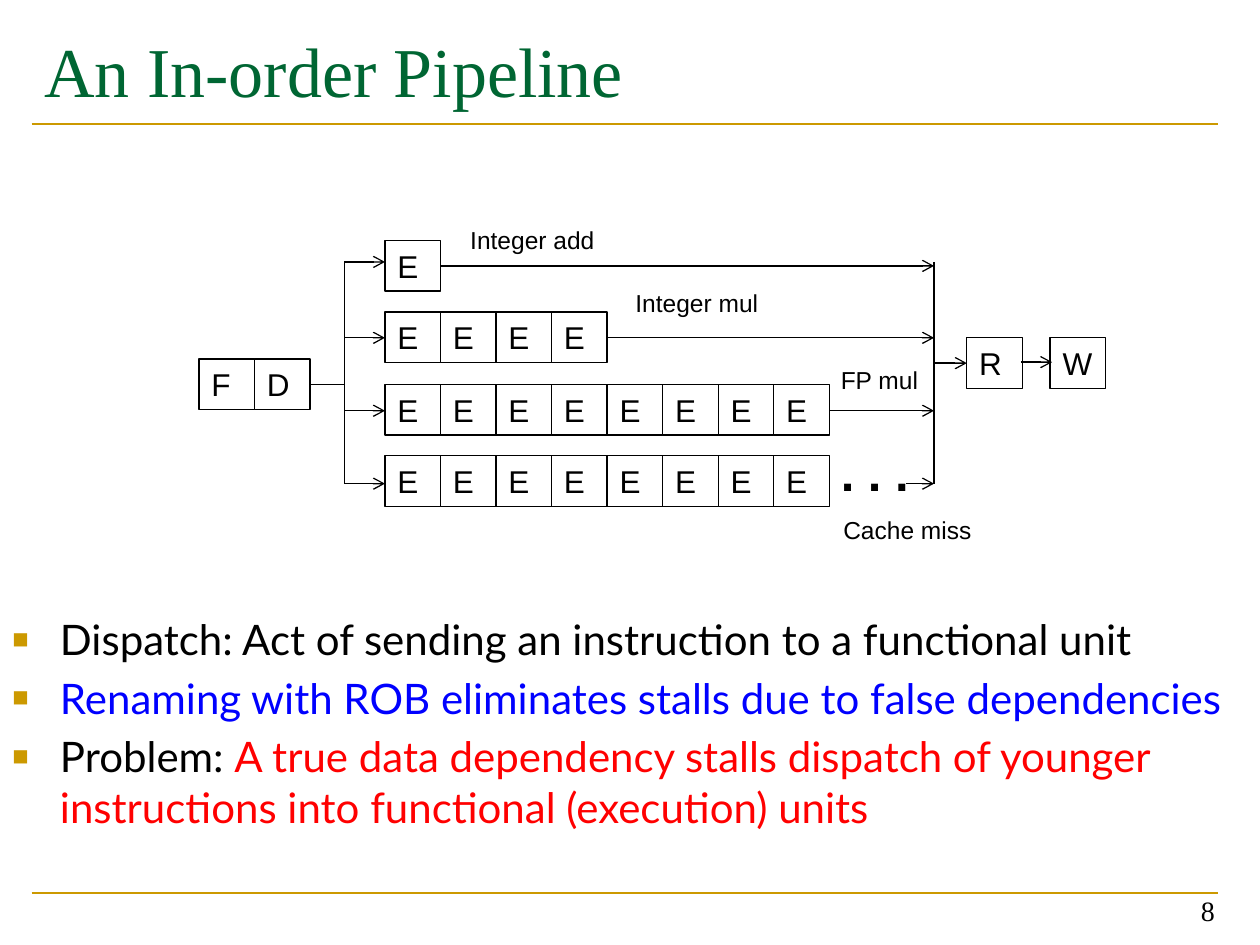
from lxml.etree import SubElement
from pptx import Presentation
from pptx.dml.color import RGBColor
from pptx.enum.shapes import MSO_CONNECTOR, MSO_SHAPE
from pptx.enum.text import MSO_ANCHOR, MSO_AUTO_SIZE, PP_ALIGN
from pptx.oxml.ns import qn
from pptx.util import Cm, Pt

BLACK = RGBColor(0, 0, 0)
WHITE = RGBColor(255, 255, 255)
GREEN = RGBColor(0x00, 0x66, 0x33)
GOLD = RGBColor(0xCC, 0x99, 0x00)
BLUE = RGBColor(0, 0, 255)
RED = RGBColor(255, 0, 0)
SERIF, SANS, BODY = "Times New Roman", "Arial", "Lato"

CELL_W, CELL_H = 1.12, 1.02
UNIT_X, FORK_X, JOIN_X = 3.75, 2.93, 14.82
# stages, top of cells, height of arrow in, height and start of arrow out
UNITS = [
    (1, 0.45, 0.88, 0.96, 4.87),
    (4, 1.89, 2.41, 2.41, 8.23),
    (8, 3.35, 3.88, 3.88, 12.71),
    (8, 4.79, 5.35, 5.35, 14.26),
]
LABELS = [
    ("Integer add", 5.22, 0.02, 3.02),
    ("Integer mul", 8.55, 1.29, 3),
    ("FP mul", 12.69, 2.84, 2.08),
    ("Cache miss", 12.74, 5.86, 3.4),
]
POINTS = [
    [("Dispatch: Act of sending an instruction to a functional unit", BLACK)],
    [("Renaming with ROB eliminates stalls due to false dependencies", BLUE)],
    [("Problem: ", BLACK),
     ("A true data dependency stalls dispatch of younger "
      "instructions into functional (execution) units", RED)],
]


def style(font, name, size, color=BLACK, bold=False):
    form = {"name": name, "size": Pt(size), "bold": bold}
    for key, value in form.items():
        setattr(font, key, value)
    font.color.rgb = color


def add_line(slide, start, end, color=BLACK, width=0.75, arrow=False):
    line = slide.shapes.add_connector(
        MSO_CONNECTOR.STRAIGHT, *map(Cm, start + end))
    line.line.color.rgb = color
    line.line.width = Pt(width)
    if arrow:
        SubElement(line.line._get_or_add_ln(), qn("a:tailEnd"), type="arrow")
    SubElement(line._element.spPr, qn("a:effectLst"))


def add_text(slide, text, box, name, size, bold=False, wrap=False):
    shape = slide.shapes.add_textbox(*map(Cm, box))
    frame = shape.text_frame
    frame.word_wrap = wrap
    frame.text = text
    style(frame.paragraphs[0].font, name, size, bold=bold)
    return frame


def add_cell(slide, text, x, y):
    """Draw one pipeline stage."""
    cell = slide.shapes.add_shape(
        MSO_SHAPE.RECTANGLE, *map(Cm, (x, y, CELL_W, CELL_H)))
    cell.shadow.inherit = False
    cell.fill.solid()
    cell.fill.fore_color.rgb = WHITE
    cell.line.color.rgb = BLACK
    cell.line.width = Pt(0.75)
    frame = cell.text_frame
    frame.text = text
    frame.vertical_anchor = MSO_ANCHOR.TOP
    para = frame.paragraphs[0]
    para.alignment = PP_ALIGN.LEFT
    style(para.font, SANS, 18)


def add_title(slide, text, left, top, width, height):
    title = slide.shapes.title
    box = dict(left=left, top=top, width=width, height=height)
    for key, value in box.items():
        setattr(title, key, Cm(value))
    frame = title.text_frame
    frame.text = text
    frame.auto_size = MSO_AUTO_SIZE.NONE
    frame.vertical_anchor = MSO_ANCHOR.TOP
    para = frame.paragraphs[0]
    para.alignment = PP_ALIGN.LEFT
    style(para.font, SERIF, 40, GREEN)


def add_pipeline(slide, left, top):
    def at(x, y):
        return left + x, top + y

    def arrow(x1, x2, y):
        add_line(slide, at(x1, y), at(x2, y), arrow=True)

    stages = [("F", 0, 2.84), ("D", CELL_W, 2.84),
              ("R", 15.48, 2.41), ("W", 17.16, 2.41)]
    for text, x, y in stages:
        add_cell(slide, text, *at(x, y))

    add_line(slide, at(2 * CELL_W, 3.35), at(FORK_X, 3.35))
    for x in (FORK_X, JOIN_X):
        add_line(slide, at(x, 0.88), at(x, 5.35))
    for count, y, enter, leave, start in UNITS:
        for i in range(count):
            add_cell(slide, "E", *at(UNIT_X + i * CELL_W, y))
        arrow(FORK_X, UNIT_X, enter)
        arrow(start, JOIN_X, leave)
    arrow(JOIN_X, 15.48, 2.92)
    arrow(16.58, 17.2, 2.9)

    add_text(slide, ". . .", at(12.69, 4.39) + (1.9, 1.45), SANS, 28, True)
    for text, x, y, width in LABELS:
        add_text(slide, text, at(x, y) + (width, 0.86), SANS, 14)


def add_points(slide, left, top, width, height):
    box = slide.shapes.add_textbox(*map(Cm, (left, top, width, height)))
    frame = box.text_frame
    frame.word_wrap = True
    for i, parts in enumerate(POINTS):
        para = frame.add_paragraph() if i else frame.paragraphs[0]
        props = para._p.get_or_add_pPr()
        props.set("marL", str(Cm(0.96)))
        props.set("indent", str(Cm(-0.96)))
        if i:
            para.space_before = Pt(4.8)
        tint = SubElement(props, qn("a:buClr"))
        SubElement(tint, qn("a:srgbClr"), val=str(GOLD))
        SubElement(props, qn("a:buSzPct"), val="65000")
        SubElement(props, qn("a:buFont"), typeface=SANS)
        SubElement(props, qn("a:buChar"), char="■")
        for text, color in parts:
            run = para.add_run()
            run.text = text
            style(run.font, BODY, 24, color)


def add_number(slide, text, *box):
    frame = add_text(slide, text, box, SERIF, 16, wrap=True)
    frame.vertical_anchor = MSO_ANCHOR.BOTTOM
    frame.paragraphs[0].alignment = PP_ALIGN.RIGHT


def main():
    deck = Presentation()
    deck.slide_width, deck.slide_height = Cm(25.4), Cm(19.05)
    slide = deck.slides.add_slide(deck.slide_layouts[5])
    for y in (2.5, 18):
        add_line(slide, (0.64, y), (24.55, y), GOLD, 1.5)
    add_title(slide, "An In-order Pipeline", 0.64, 0.43, 23.93, 2.97)
    add_points(slide, 0, 12.24, 25.4, 4.95)
    add_number(slide, "8", 18.82, 17.55, 5.92, 1.27)
    add_pipeline(slide, 4.01, 4.4)
    deck.save("out.pptx")


if __name__ == "__main__":
    main()
